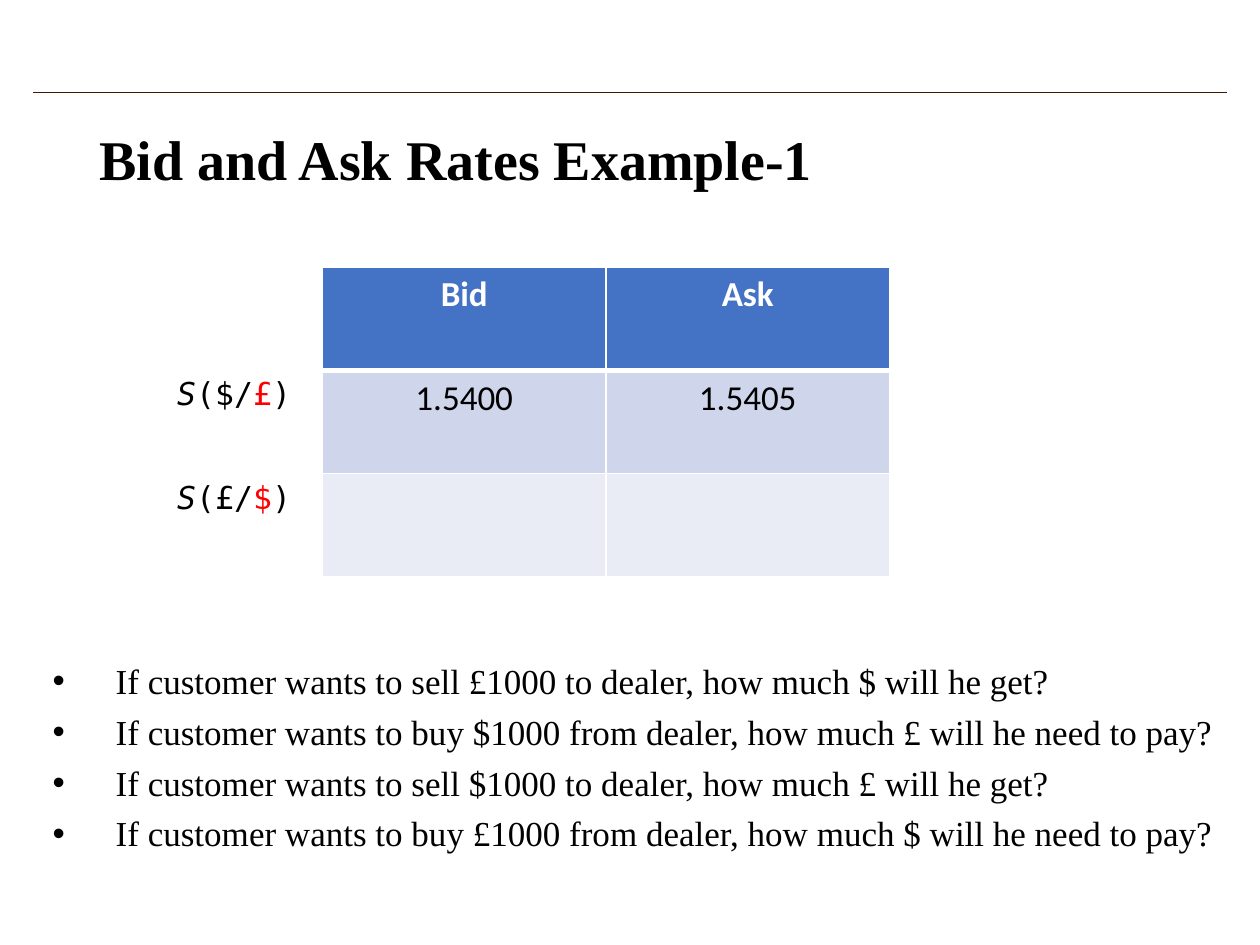
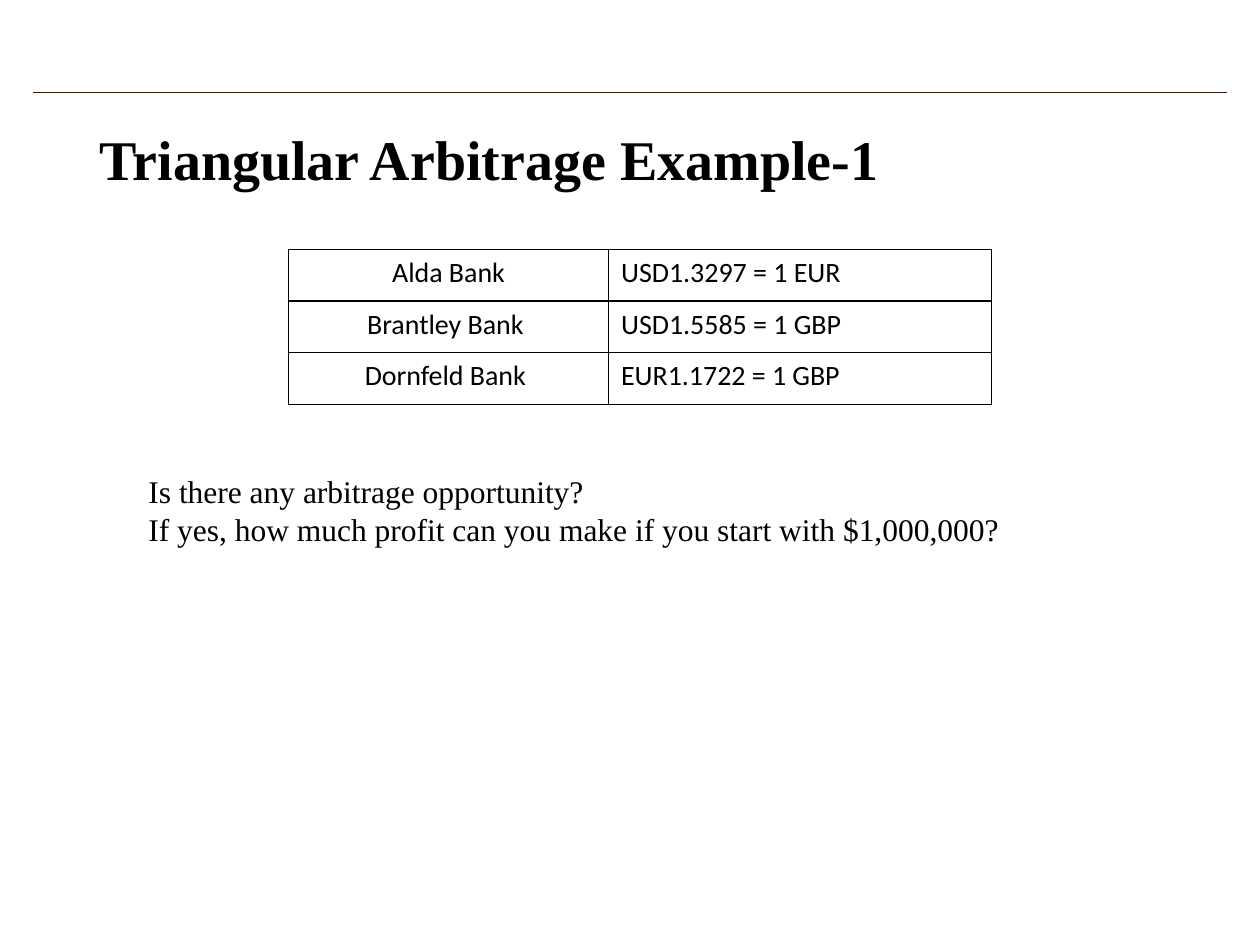
"""Build two slides of exchange-rate exercises: bid and ask rates, and triangular arbitrage."""
from dataclasses import dataclass

from lxml import etree
from pptx import Presentation
from pptx import util as u
from pptx.dml.color import RGBColor
from pptx.enum import shapes, text
from pptx.oxml.ns import qn

LEFT, CENTER, RIGHT = text.PP_ALIGN.LEFT, text.PP_ALIGN.CENTER, text.PP_ALIGN.RIGHT


@dataclass(frozen=True)
class Theme:
    ink: str = "000000"
    white: str = "FFFFFF"
    accent: str = "FF0000"
    rule: str = "431801"
    header: str = "4472C4"
    band_dark: str = "CFD5EA"
    band_light: str = "E9EBF5"
    serif: str = "Times New Roman"
    sans: str = "Calibri"
    mono: str = "DejaVu Sans Mono"
    title_size: int = 32
    large_size: int = 20
    text_size: int = 18
    small_size: int = 16


class Deck:
    def __init__(self, theme):
        self.theme = theme
        self.prs = Presentation()
        self.prs.slide_width, self.prs.slide_height = u.Inches(10), u.Inches(7.5)
        self.s = None

    def run(self, p, content, font, size, color=None, bold=False, italic=False):
        r = p.add_run()
        r.text = content
        r.font.name, r.font.size = font, u.Pt(size)
        r.font.bold, r.font.italic = bold, italic
        r.font.color.rgb = RGBColor.from_string(color or self.theme.ink)

    def slide(self, title):
        t = self.theme
        self.s = self.prs.slides.add_slide(self.prs.slide_layouts[5])
        line = self.s.shapes.add_connector(
            shapes.MSO_CONNECTOR.STRAIGHT,
            u.Inches(0.26), u.Inches(0.73), u.Inches(9.74), u.Inches(0.73))
        line.line.color.rgb = RGBColor.from_string(t.rule)
        line.line.width = u.Pt(0.5)
        etree.SubElement(line._element.spPr, qn("a:effectLst"))
        sp = self.s.shapes.title
        sp.left, sp.top = u.Inches(0.69), u.Inches(0.85)
        sp.width, sp.height = u.Inches(8.62), u.Inches(0.87)
        tf = sp.text_frame
        tf.auto_size = text.MSO_AUTO_SIZE.NONE
        tf.vertical_anchor = text.MSO_ANCHOR.MIDDLE
        p = tf.paragraphs[0]
        p.alignment, p.line_spacing = LEFT, 0.9
        self.run(p, title, t.serif, t.title_size, bold=True)

    def textbox(self, left, top, width, height, lines, size, bullets=False):
        sp = self.s.shapes.add_textbox(
            u.Inches(left), u.Inches(top), u.Inches(width), u.Inches(height))
        tf = sp.text_frame
        tf.word_wrap = bullets
        for i, content in enumerate(lines):
            p = tf.add_paragraph() if i else tf.paragraphs[0]
            if bullets:
                self.bullet(p)
            self.run(p, content, self.theme.serif, size)

    def bullet(self, p):
        p.line_spacing, p.space_before = 0.9, u.Pt(7.5)
        pPr = p._p.get_or_add_pPr()
        pPr.set("marL", str(u.Inches(0.5)))
        pPr.set("indent", str(-u.Inches(0.5)))
        etree.SubElement(pPr, qn("a:buFont"), typeface="Arial")
        etree.SubElement(pPr, qn("a:buChar"), char="•")

    def table(self, left, top, widths, row_height, rows):
        frame = self.s.shapes.add_table(
            rows, len(widths), u.Inches(left), u.Inches(top),
            u.Inches(sum(widths)), u.Inches(row_height * rows))
        table = frame.table
        table.first_row = table.horz_banding = False
        for column, width in zip(table.columns, widths):
            column.width = u.Inches(width)
        for row in table.rows:
            row.height = u.Inches(row_height)
        return table

    def cell(self, cell, runs, align, border, fill=None, top=1, bottom=1):
        tcPr = cell._tc.get_or_add_tcPr()
        for side, width in (("L", 1), ("R", 1), ("T", top), ("B", bottom)):
            ln = etree.SubElement(tcPr, qn(f"a:ln{side}"), w=str(u.Pt(width)))
            solid = etree.SubElement(ln, qn("a:solidFill"))
            etree.SubElement(solid, qn("a:srgbClr"), val=border)
        if fill:
            cell.fill.solid()
            cell.fill.fore_color.rgb = RGBColor.from_string(fill)
        else:
            cell.fill.background()
        p = cell.text_frame.paragraphs[0]
        p.alignment = align
        for content, style in runs:
            self.run(p, content, **style)


def bid_ask_slide(deck):
    t = deck.theme
    deck.slide("Bid and Ask Rates Example-1")
    deck.textbox(0.32, 5.22, 9.48, 2.2, [
        f"If customer wants to {deal} dealer, how much {other} will he {verb}?"
        for deal, other, verb in (
            ("sell £1000 to", "$", "get"),
            ("buy $1000 from", "£", "need to pay"),
            ("sell $1000 to", "£", "get"),
            ("buy £1000 from", "$", "need to pay"))
    ], t.large_size, bullets=True)

    mono = dict(font=t.mono, size=t.text_size)
    value = dict(font=t.sans, size=t.large_size)
    heading = dict(value, color=t.white, bold=True)

    def quote(price, base):
        return [("S", dict(mono, italic=True)), (f"({price}/", mono),
                (base, dict(mono, color=t.accent)), (") ", mono)]

    rows = (
        ([], "Bid", "Ask", heading, t.header),
        (quote("$", "£"), "1.5400", "1.5405", value, t.band_dark),
        (quote("£", "$"), "", "", value, t.band_light),
    )
    table = deck.table(0.31, 2.12, [2.25] * 4, 0.82, len(rows))
    for i, (label, bid, ask, style, fill) in enumerate(rows):
        edges = dict(border=t.white, top=3 if i == 1 else 1, bottom=3 if i == 0 else 1)
        deck.cell(table.cell(i, 0), label, RIGHT, **edges)
        for j, content in enumerate((bid, ask), 1):
            runs = [(content, style)] if content else []
            deck.cell(table.cell(i, j), runs, CENTER, fill=fill, **edges)
        deck.cell(table.cell(i, 3), [], LEFT, **edges)


def arbitrage_slide(deck):
    t = deck.theme
    deck.slide("Triangular Arbitrage Example-1")
    quotes = (
        ("Alda Bank", "USD1.3297 = 1 EUR"),
        ("Brantley Bank ", "USD1.5585 = 1 GBP"),
        ("Dornfeld Bank ", "EUR1.1722 = 1 GBP"),
    )
    style = dict(font=t.sans, size=t.small_size)
    table = deck.table(2.29, 1.98, [2.54, 3.04], 0.41, len(quotes))
    for i, quote in enumerate(quotes):
        for j, (content, align) in enumerate(zip(quote, (CENTER, LEFT))):
            deck.cell(table.cell(i, j), [(content, style)], align, t.ink)
    deck.textbox(1.08, 3.7, 7.04, 0.71, [
        "Is there any arbitrage opportunity?",
        "If yes, how much profit can you make if you start with $1,000,000?",
    ], t.text_size)


def main():
    deck = Deck(Theme())
    bid_ask_slide(deck)
    arbitrage_slide(deck)
    deck.prs.save("out.pptx")


if __name__ == "__main__":
    main()
